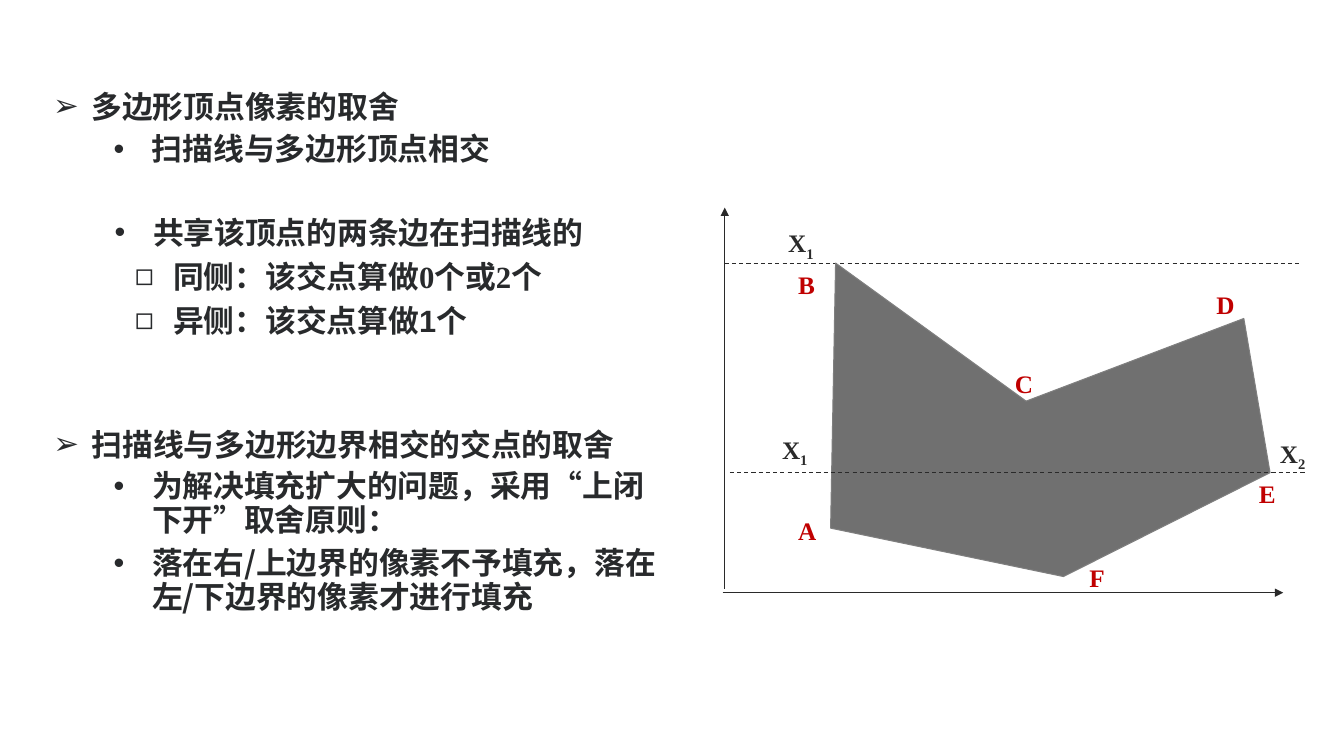
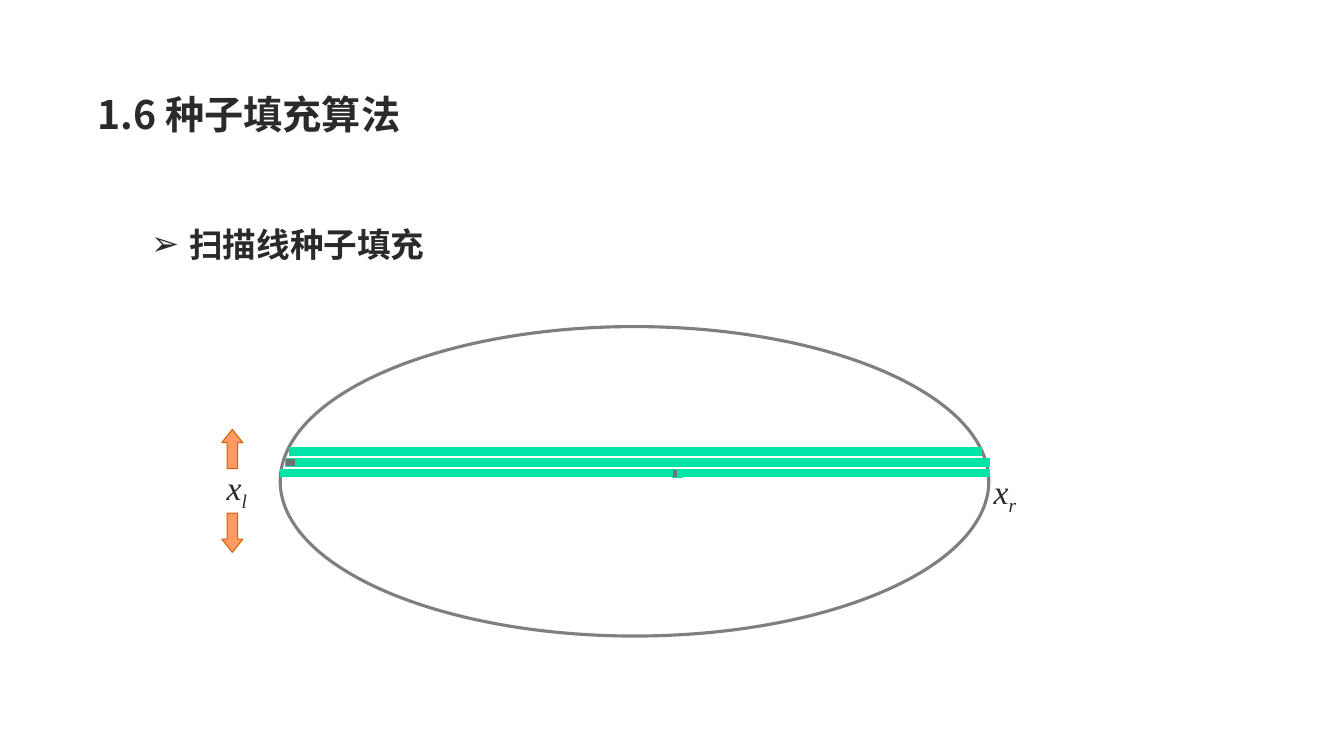
from lxml.etree import SubElement
from pptx import Presentation
from pptx.dml.color import RGBColor
from pptx.enum.dml import MSO_LINE
from pptx.enum.shapes import MSO_CONNECTOR, MSO_SHAPE
from pptx.enum.text import MSO_ANCHOR
from pptx.oxml.ns import qn
from pptx.util import Inches, Pt

INK = RGBColor(0x28, 0x2A, 0x2C)
AXIS = RGBColor(0x2A, 0x2A, 0x2A)
RED = RGBColor(0xC0, 0x00, 0x00)
WHITE = RGBColor(0xFF, 0xFF, 0xFF)
SOLID_GREY = RGBColor(0x70, 0x70, 0x70)
EDGE_GREY = RGBColor(0x7F, 0x7F, 0x7F)
GREEN = RGBColor(0x00, 0xE4, 0xA8)
ORANGE = RGBColor(0xFF, 0x99, 0x66)
BROWN = RGBColor(0xCC, 0x66, 0x00)

CJK = "Noto Sans CJK SC"
SANS = "Arial"
SERIF = "Times New Roman"
COLUMNS, ROWS = 133.33, 75
CELL = 0.1

TOPIC = ("➢", 0.78, 1.0)
POINT = ("•", 1.38, 0.92)
SHARED_POINT = ("•", 0.49, 1.0)
CASE = ("◻", 0.69, 1.0)
HANG = 0.38


def cells(*values):
    return [Inches(value * CELL) for value in values]


class Deck:
    def __init__(self):
        self.presentation = Presentation()
        self.presentation.slide_width, self.presentation.slide_height = cells(COLUMNS, ROWS)
        self.slide = None

    def new_slide(self):
        self.slide = self.presentation.slides.add_slide(self.presentation.slide_layouts[6])

    def frame(self, left, top, width, height):
        frame = self.slide.shapes.add_textbox(*cells(left, top, width, height)).text_frame
        frame.word_wrap = True
        return frame

    def run(self, paragraph, text, size, font=CJK, color=INK, bold=True, italic=False, baseline=0):
        run = paragraph.add_run()
        run.text = text
        run.font.size = Pt(size)
        run.font.name = font
        run.font.bold = bold
        run.font.italic = italic
        run.font.color.rgb = color
        properties = run._r.get_or_add_rPr()
        SubElement(properties, qn("a:ea")).set("typeface", CJK)
        if baseline:
            properties.set("baseline", str(baseline * 1000))

    def title(self, text):
        frame = self.frame(8.7, 4, 115, 14.5)
        frame.vertical_anchor = MSO_ANCHOR.MIDDLE
        self.run(frame.paragraphs[0], text, 28)

    def bullets(self, box, items, size=22, gap=6):
        frame = self.frame(*box)
        for index, ((mark, indent, spacing), runs) in enumerate(items):
            paragraph = frame.paragraphs[0] if index == 0 else frame.add_paragraph()
            paragraph.line_spacing = spacing
            paragraph.space_before = Pt(gap if index else 0)
            properties = paragraph._p.get_or_add_pPr()
            properties.set("marL", str(Inches(indent)))
            properties.set("indent", str(-Inches(HANG)))
            SubElement(properties, qn("a:buFont")).set("typeface", SANS)
            SubElement(properties, qn("a:buChar")).set("char", mark)
            for text, font in runs:
                self.run(paragraph, text, size, font)

    def label(self, left, top, text, subscript="", width=7.4, size=18, color=AXIS, italic=False):
        paragraph = self.frame(left, top, width, 4).paragraphs[0]
        style = dict(size=size, font=SERIF, color=color, bold=not italic, italic=italic)
        self.run(paragraph, text, **style)
        if subscript:
            self.run(paragraph, subscript, baseline=-25, **style)

    def line(self, start, end, color=AXIS, weight=0.75, dashed=False, arrow=False):
        line = self.slide.shapes.add_connector(MSO_CONNECTOR.STRAIGHT, *cells(*start, *end))
        line.line.color.rgb = color
        line.line.width = Pt(weight)
        if dashed:
            line.line.dash_style = MSO_LINE.DASH
        if arrow:
            SubElement(line.line._get_or_add_ln(), qn("a:tailEnd")).set("type", "triangle")
        SubElement(line._element.spPr, qn("a:effectLst"))

    def paint(self, shape, fill, edge, weight):
        shape.shadow.inherit = False
        shape.fill.solid()
        shape.fill.fore_color.rgb = fill
        shape.line.color.rgb = edge
        shape.line.width = Pt(weight)

    def shape(self, preset, box, fill, edge, weight=0.75):
        shape = self.slide.shapes.add_shape(preset, *cells(*box))
        self.paint(shape, fill, edge, weight)
        return shape

    def polygon(self, corners, fill, edge):
        first, *others = [cells(*corner) for corner in corners]
        builder = self.slide.shapes.build_freeform(*first)
        builder.add_line_segments(others, close=True)
        self.paint(builder.convert_to_shape(), fill, edge, 0.75)


def vertex_slide(deck):
    deck.new_slide()
    deck.bullets((0.3, 8.2, 94, 11), [
        (TOPIC, [("多边形顶点像素的取舍", CJK)]),
        (POINT, [("扫描线与多边形顶点相交", CJK)]),
    ])
    deck.bullets((9.3, 20.7, 73, 16), [
        (SHARED_POINT, [("共享该顶点的两条边在扫描线的", CJK)]),
        (CASE, [("同侧：该交点算做", SANS), ("0个或2个", SERIF)]),
        (CASE, [("异侧：", SERIF), ("该交点算做1个", SANS)]),
    ], gap=5)
    deck.bullets((0.3, 41.7, 65.9, 24), [
        (TOPIC, [("扫描线与多边形边界相交的交点的取舍", CJK)]),
        (POINT, [("为解决填充扩大的问题，采用“上闭下开”取舍原则：", CJK)]),
        (POINT, [("落在右/上边界的像素不予填充，落在左/下边界的像素才进行填充", CJK)]),
    ])

    deck.line((71.9, 58.4), (71.9, 20.6), arrow=True)
    deck.line((71.7, 58.8), (127.3, 58.8), arrow=True)
    deck.line((71.9, 26.1), (129.1, 26.1), dashed=True)
    corners = [(82.4, 52.4), (82.9, 26.1), (101.8, 39.8),
               (123.4, 31.6), (126, 46.9), (105.5, 57.2)]
    deck.polygon(corners, SOLID_GREY, EDGE_GREY)
    deck.line((72.4, 46.9), (129.7, 46.9), dashed=True)
    for left, top, index in [(77.2, 22.1, "1"), (76.6, 42.6, "1"), (126, 43, "2")]:
        deck.label(left, top, "X", index)
    places = [(78.2, 50.6), (78.2, 26.2), (99.7, 36), (119.7, 28.2), (123.9, 47), (107.1, 55.3)]
    for corner, (left, top) in zip("ABCDEF", places):
        deck.label(left, top, corner, width=9.4, color=RED)


def seed_slide(deck):
    deck.new_slide()
    deck.title("1.6 种子填充算法")
    deck.bullets((10, 21.7, 120, 6), [(TOPIC, [("扫描线种子填充", CJK)])], size=24)

    deck.shape(MSO_SHAPE.OVAL, (27.8, 32.4, 70.3, 30.7), WHITE, EDGE_GREY, 2.25)
    seed_row, next_row, top_row = 46.9, 45.9, 44.8
    seeds = [
        ((66.7, 46.6), [(27.8, 66.8, seed_row), (67.2, 98.2, seed_row)]),
        ((28.3, 45.5), [(29.4, 98.2, next_row), (28.7, 97.4, top_row)]),
    ]
    for seed, spans in seeds:
        deck.shape(MSO_SHAPE.RECTANGLE, (*seed, 1, 0.8), SOLID_GREY, GREEN)
        for left, right, row in spans:
            deck.line((left, row), (right, row), GREEN, 6)

    for left, top, side in [(21.5, 45.8, "l"), (97.6, 46.2, "r")]:
        deck.label(left, top, "x", side, width=6.8, size=24, italic=True)
    for preset, top in [(MSO_SHAPE.UP_ARROW, 42.6), (MSO_SHAPE.DOWN_ARROW, 50.9)]:
        arrow = deck.shape(preset, (22, top, 2.1, 3.9), ORANGE, BROWN)
        arrow.adjustments[0] = 0.5
        arrow.adjustments[1] = 0.63


def main():
    deck = Deck()
    vertex_slide(deck)
    seed_slide(deck)
    deck.presentation.save("out.pptx")


if __name__ == "__main__":
    main()
